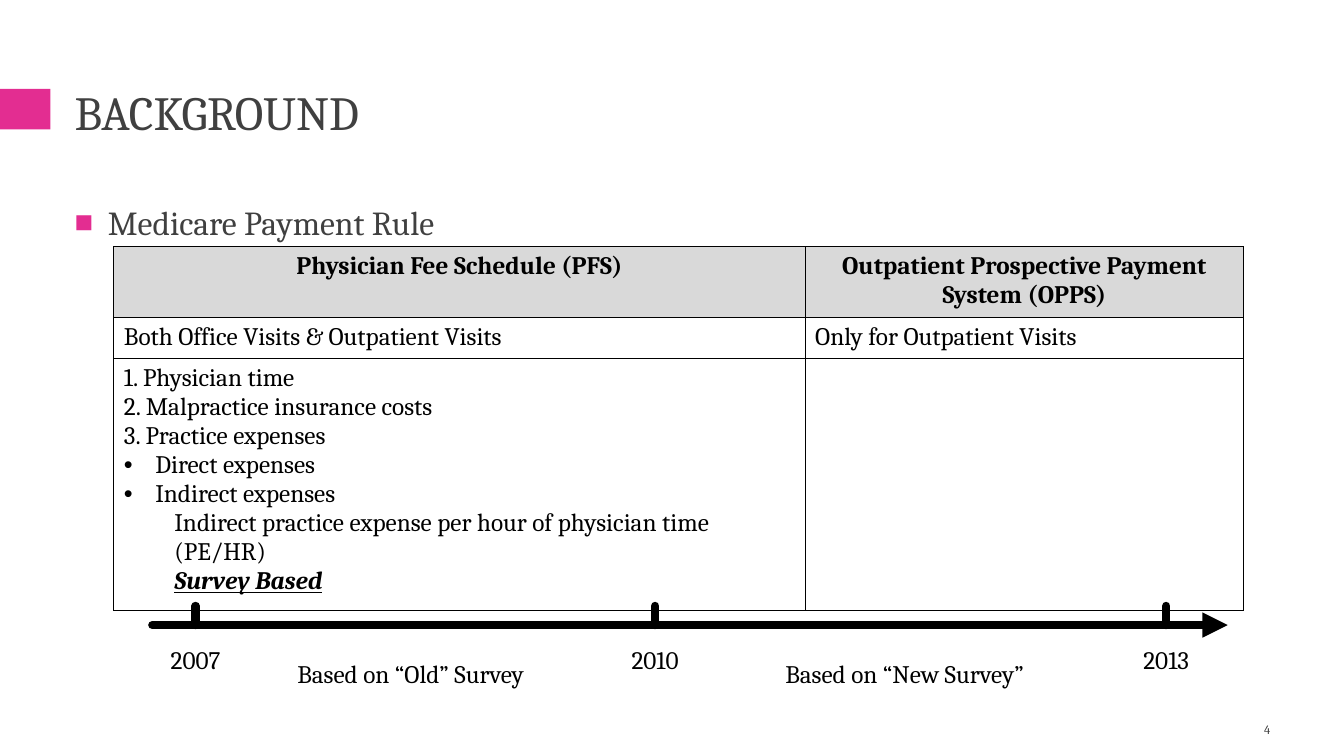
from dataclasses import dataclass

from lxml.etree import SubElement
from pptx import Presentation
from pptx.dml.color import RGBColor
from pptx.enum.shapes import MSO_CONNECTOR, MSO_SHAPE
from pptx.enum.text import MSO_ANCHOR, PP_ALIGN
from pptx.oxml import parse_xml
from pptx.oxml.ns import nsdecls, qn
from pptx.util import Cm, Pt


@dataclass(frozen=True)
class Theme:
    font: str = "Cambria"
    accent: RGBColor = RGBColor(0xE3, 0x2D, 0x91)
    heading: RGBColor = RGBColor(0x40, 0x40, 0x40)
    ink: RGBColor = RGBColor(0, 0, 0)
    header_fill: RGBColor = RGBColor(0xD9, 0xD9, 0xD9)
    title_size: int = 34
    bullet_size: int = 24
    body_size: int = 18
    number_size: int = 9
    axis_width: int = 6
    border_width: int = 1


THEME = Theme()
HEADERS = ["Physician Fee Schedule (PFS)", "Outpatient Prospective Payment System (OPPS)"]
COVERAGE = ["Both Office Visits & Outpatient Visits", "Only for Outpatient Visits"]
COMPONENTS = ["1. Physician time", "2. Malpractice insurance costs", "3. Practice expenses"]
EXPENSE_KINDS = ["Direct expenses", "Indirect expenses"]
INDIRECT_DETAIL = "Indirect practice expense per hour of physician time (PE/HR)"
EMPHASIS = "Survey Based"
MILESTONES = [("2007", 4.93), ("2010", 16.51), ("2013", 29.39)]
PERIODS = [("Based on “Old” Survey", 5.51), ("Based on “New Survey”", 17.96)]


def style_paragraph(paragraph, size, color, align=PP_ALIGN.LEFT, bold=False):
    paragraph.alignment = align
    for run in paragraph.runs:
        run.font.name = THEME.font
        run.font.size = Pt(size)
        run.font.color.rgb = color
        run.font.bold = bold


def indent_paragraph(paragraph, left, first=0, bullet=None, color=None, percent=100):
    properties = paragraph._p.get_or_add_pPr()
    properties.set("marL", str(Cm(left)))
    properties.set("indent", str(Cm(first)))
    if bullet is None:
        return
    if color is not None:
        holder = SubElement(properties, qn("a:buClr"))
        SubElement(holder, qn("a:srgbClr")).set("val", str(color))
    SubElement(properties, qn("a:buSzPct")).set("val", str(percent * 1000))
    SubElement(properties, qn("a:buFont")).set("typeface", "Arial")
    SubElement(properties, qn("a:buChar")).set("char", bullet)


def add_text(slide, text, left, top, width, height, size, color,
             align=PP_ALIGN.LEFT, anchor=MSO_ANCHOR.TOP):
    shape = slide.shapes.add_textbox(Cm(left), Cm(top), Cm(width), Cm(height))
    text_frame = shape.text_frame
    text_frame.word_wrap = True
    text_frame.vertical_anchor = anchor
    text_frame.text = text
    paragraph = text_frame.paragraphs[0]
    style_paragraph(paragraph, size, color, align)
    return paragraph


def add_accent_block(slide):
    shape = slide.shapes.add_shape(MSO_SHAPE.RECTANGLE, Cm(0), Cm(2.24), Cm(1.27), Cm(1.02))
    shape.shadow.inherit = False
    shape.fill.solid()
    shape.fill.fore_color.rgb = THEME.accent
    shape.line.fill.background()


def add_axis_line(slide, start, end, arrow=False):
    connector = slide.shapes.add_connector(MSO_CONNECTOR.STRAIGHT, *map(Cm, start + end))
    connector.line.color.rgb = THEME.ink
    connector.line.width = Pt(THEME.axis_width)
    properties = connector._element.spPr
    line = properties.find(qn("a:ln"))
    line.set("cap", "rnd")
    SubElement(line, qn("a:round"))
    if arrow:
        SubElement(line, qn("a:tailEnd")).set("type", "triangle")
    SubElement(properties, qn("a:effectLst"))


def add_borders(cell):
    properties = cell._tc.get_or_add_tcPr()
    for position, side in enumerate(("lnL", "lnR", "lnT", "lnB")):
        properties.insert(position, parse_xml(
            f'<a:{side} {nsdecls("a")} w="{Pt(THEME.border_width)}"><a:solidFill>'
            f'<a:srgbClr val="{THEME.ink}"/></a:solidFill></a:{side}>'))


def fill_cell(cell, text, header=False):
    if header:
        cell.fill.solid()
        cell.fill.fore_color.rgb = THEME.header_fill
    else:
        cell.fill.background()
    add_borders(cell)
    cell.text_frame.text = text
    align = PP_ALIGN.CENTER if header else PP_ALIGN.LEFT
    for paragraph in cell.text_frame.paragraphs:
        style_paragraph(paragraph, THEME.body_size, THEME.ink, align, header)


def add_payment_table(slide):
    widths, heights = [17.42, 11.05], [1.73, 1.03, 6.14]
    frame = slide.shapes.add_table(len(heights), len(widths), Cm(2.87), Cm(6.22),
                                   Cm(sum(widths)), Cm(sum(heights)))
    table = frame.table
    table.first_row = False
    table.horz_banding = False
    for column, width in zip(table.columns, widths):
        column.width = Cm(width)
    for row, height in zip(table.rows, heights):
        row.height = Cm(height)
    details = "\n".join(COMPONENTS + EXPENSE_KINDS + [INDIRECT_DETAIL, EMPHASIS])
    for row, texts in enumerate([HEADERS, COVERAGE, [details, ""]]):
        for column, text in enumerate(texts):
            fill_cell(table.cell(row, column), text, header=row == 0)
    for paragraph in table.cell(2, 0).text_frame.paragraphs:
        if paragraph.text in EXPENSE_KINDS:
            indent_paragraph(paragraph, 0.79, -0.79, "•")
        elif paragraph.text in (INDIRECT_DETAIL, EMPHASIS):
            indent_paragraph(paragraph, 1.27)
        if paragraph.text == EMPHASIS:
            font = paragraph.runs[0].font
            font.bold = font.italic = font.underline = True


def add_timeline(slide):
    axis_top, tick_height, label_width = 15.75, 0.48, 2.1
    add_axis_line(slide, (3.84, axis_top), (30.94, axis_top), arrow=True)
    for year, center in MILESTONES:
        add_axis_line(slide, (center, axis_top - tick_height), (center, axis_top))
        add_text(slide, year, center - label_width / 2, 16.1, label_width, 1.02,
                 THEME.body_size, THEME.ink, PP_ALIGN.CENTER)
    for period, left in PERIODS:
        add_text(slide, period, left, 16.47, 9.68, 1.02,
                 THEME.body_size, THEME.ink, PP_ALIGN.CENTER)


def main():
    presentation = Presentation()
    presentation.slide_width = Cm(33.87)
    presentation.slide_height = Cm(19.05)
    slide = presentation.slides.add_slide(presentation.slide_layouts[6])
    add_accent_block(slide)
    add_text(slide, "BACKGROUND", 1.63, 1.96, 30.63, 2.06, THEME.title_size, THEME.heading)
    rule = add_text(slide, "Medicare Payment Rule", 1.63, 4.95, 30.63, 1.27,
                    THEME.bullet_size, THEME.heading, anchor=MSO_ANCHOR.MIDDLE)
    indent_paragraph(rule, 0.84, -0.84, "■", THEME.accent, 92)
    add_payment_table(slide)
    add_timeline(slide)
    add_text(slide, "4", 29.34, 17.86, 2.92, 1.02, THEME.number_size, THEME.heading,
             PP_ALIGN.RIGHT, MSO_ANCHOR.MIDDLE)
    presentation.save("out.pptx")


main()
